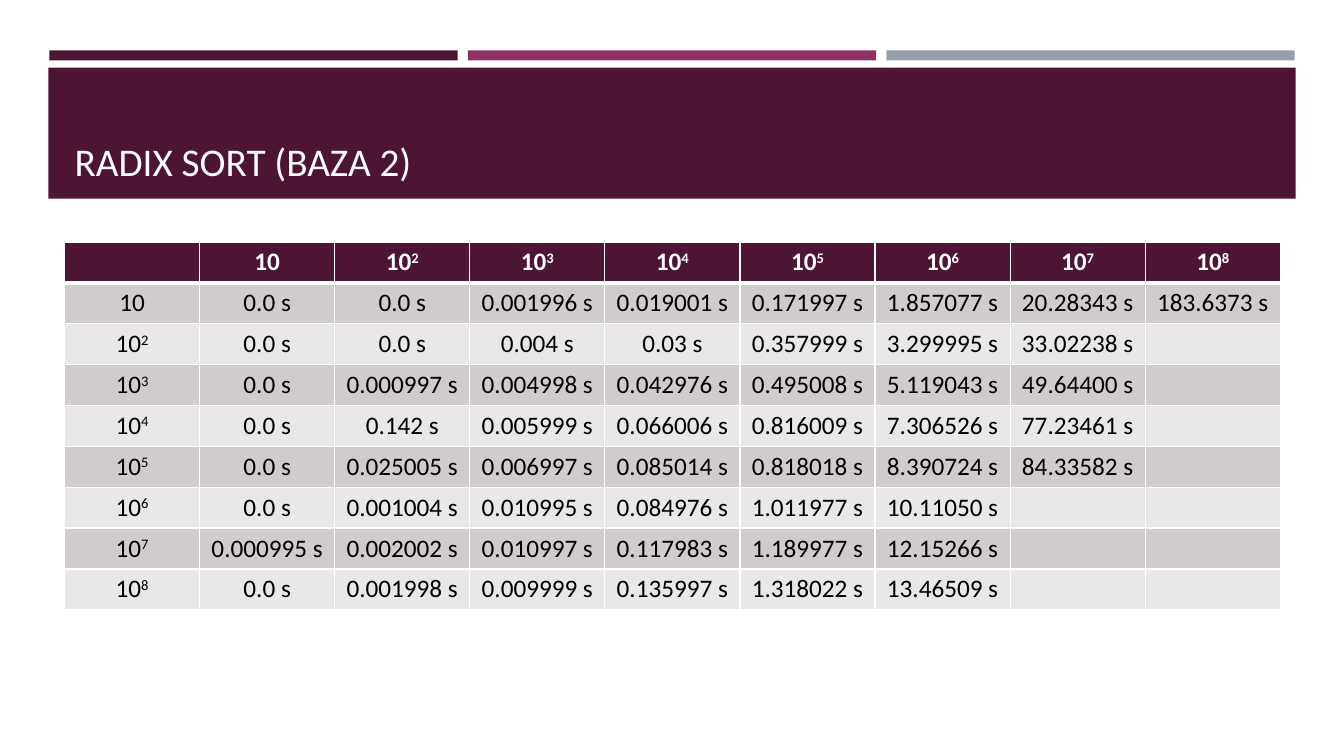
import pptx
import pptx.util
import pptx.oxml
import pptx.oxml.ns
import pptx.dml.color
import pptx.enum.shapes
import pptx.enum.text

Inches = pptx.util.Inches
Pt = pptx.util.Pt
RGBColor = pptx.dml.color.RGBColor

PLUM = RGBColor(0x4D, 0x14, 0x34)
BERRY = RGBColor(0x90, 0x31, 0x63)
STEEL = RGBColor(0x96, 0x9F, 0xA7)
DARK = RGBColor(0xD0, 0xCC, 0xCE)
PALE = RGBColor(0xE9, 0xE7, 0xE8)
WHITE = RGBColor(0xFF, 0xFF, 0xFF)
BLACK = RGBColor(0x00, 0x00, 0x00)
FONT = "Calibri"

POWERS = ["", "2", "3", "4", "5", "6", "7", "8"]
TIMES = [
    "0.0 0.0 0.001996 0.019001 0.171997 1.857077 20.28343 183.6373",
    "0.0 0.0 0.004 0.03 0.357999 3.299995 33.02238",
    "0.0 0.000997 0.004998 0.042976 0.495008 5.119043 49.64400",
    "0.0 0.142 0.005999 0.066006 0.816009 7.306526 77.23461",
    "0.0 0.025005 0.006997 0.085014 0.818018 8.390724 84.33582",
    "0.0 0.001004 0.010995 0.084976 1.011977 10.11050",
    "0.000995 0.002002 0.010997 0.117983 1.189977 12.15266",
    "0.0 0.001998 0.009999 0.135997 1.318022 13.46509",
]


def add_run(para, text, size, color, bold=False):
    run = para.add_run()
    run.text = text
    font = run.font
    font.name, font.size, font.bold = FONT, Pt(size), bold
    font.color.rgb = color
    return run


def add_bar(slide, left, top, width, height, color):
    bar = slide.shapes.add_shape(
        pptx.enum.shapes.MSO_SHAPE.RECTANGLE,
        Inches(left), Inches(top), Inches(width), Inches(height))
    bar.shadow.inherit = False
    bar.fill.solid()
    bar.fill.fore_color.rgb = color
    bar.line.fill.background()


def add_stripes(slide, left, top, width, height):
    gap = 0.1
    part = (width - 2 * gap) / 3
    for i, color in enumerate([PLUM, BERRY, STEEL]):
        add_bar(slide, left + i * (part + gap), top, part, height, color)


def add_title(slide, left, top, width, height, text):
    add_bar(slide, left, top, width, height, PLUM)
    title = slide.shapes.title
    slide.shapes.element.append(title.element)
    title.left, title.top = Inches(left + 0.16), Inches(top + 0.1)
    title.width, title.height = Inches(width - 0.31), Inches(height - 0.19)
    frame = title.text_frame
    frame.word_wrap = True
    frame.auto_size = pptx.enum.text.MSO_AUTO_SIZE.NONE
    frame.vertical_anchor = pptx.enum.text.MSO_ANCHOR.BOTTOM
    para = frame.paragraphs[0]
    para.alignment = pptx.enum.text.PP_ALIGN.LEFT
    add_run(para, text, 28, WHITE)


def set_edges(cell, row):
    props = cell._tc.get_or_add_tcPr()
    widths = {"L": 1, "R": 1, "T": 3 if row == 1 else 1, "B": 3 if row == 0 else 1}
    for side, width in widths.items():
        props.append(pptx.oxml.parse_xml(
            f'<a:ln{side} {pptx.oxml.ns.nsdecls("a")} w="{Pt(width)}">'
            f'<a:solidFill><a:srgbClr val="{WHITE}"/></a:solidFill></a:ln{side}>'))


def fill_cell(cell, row, text, power):
    set_edges(cell, row)
    head = row == 0
    cell.fill.solid()
    cell.fill.fore_color.rgb = PLUM if head else DARK if row % 2 else PALE
    para = cell.text_frame.paragraphs[0]
    para.alignment = pptx.enum.text.PP_ALIGN.CENTER
    color = WHITE if head else BLACK
    if text:
        add_run(para, text, 18, color, head)
    if power:
        run = add_run(para, power, 18, color, head)
        run._r.get_or_add_rPr().set("baseline", "30000")


def add_times(slide, left, top, width, height):
    labels = [("10", power) for power in POWERS]
    grid = [[("", "")] + labels]
    for label, line in zip(labels, TIMES):
        cells = [(f"{time} s", "") for time in line.split()]
        blanks = [("", "")] * (len(labels) - len(cells))
        grid.append([label] + cells + blanks)
    size = len(grid)
    table = slide.shapes.add_table(
        size, size, Inches(left), Inches(top), Inches(width), Inches(height)).table
    for col in table.columns:
        col.width = Inches(width / size)
    for r, cells in enumerate(grid):
        table.rows[r].height = Inches(height / size)
        for c, (text, power) in enumerate(cells):
            fill_cell(table.cell(r, c), r, text, power)


def main():
    deck = pptx.Presentation()
    deck.slide_width, deck.slide_height = Inches(13.33), Inches(7.5)
    slide = deck.slides.add_slide(deck.slide_layouts[5])
    add_stripes(slide, 0.49, 0.5, 12.35, 0.1)
    add_title(slide, 0.48, 0.67, 12.37, 1.3, "RADIX SORT (BAZA 2)")
    add_times(slide, 0.64, 2.4, 12.06, 3.65)
    deck.save("out.pptx")


if __name__ == "__main__":
    main()
